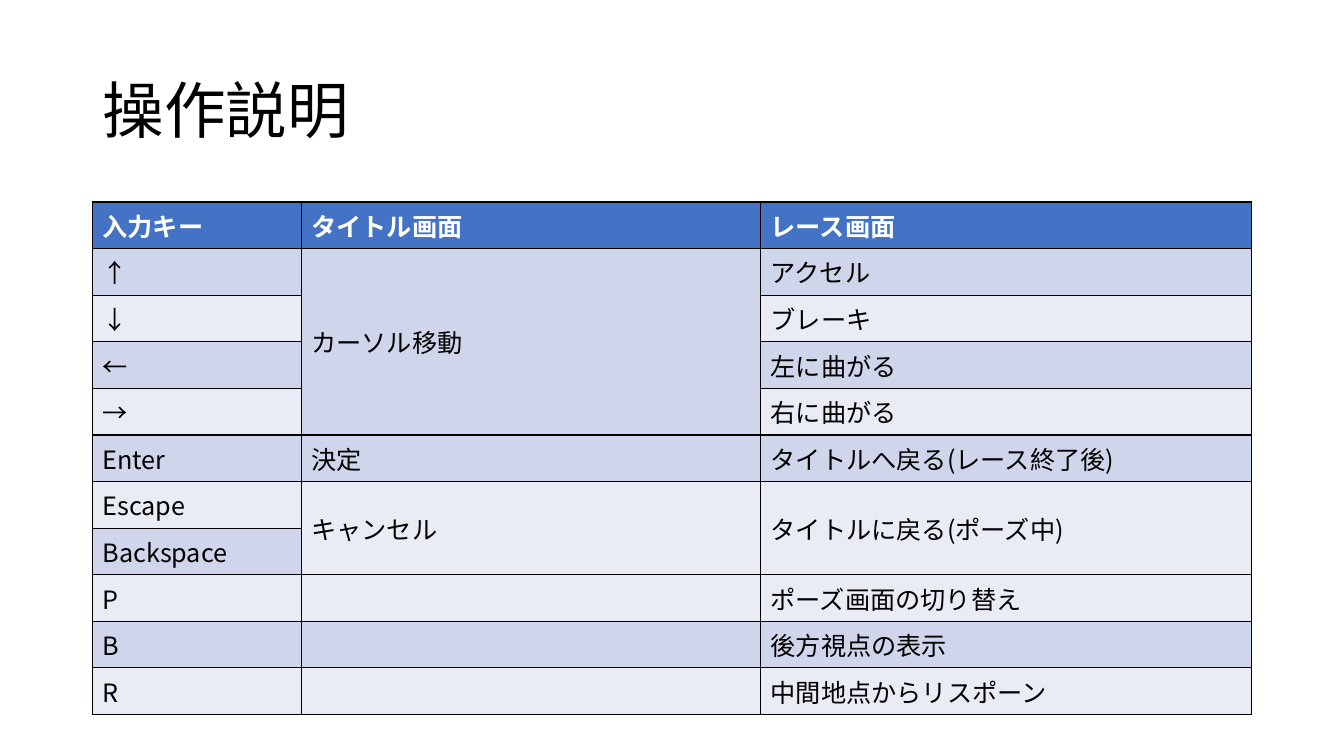
from lxml.etree import SubElement
from pptx import Presentation
from pptx.dml.color import RGBColor
from pptx.enum.text import MSO_ANCHOR, MSO_AUTO_SIZE, PP_ALIGN
from pptx.oxml import parse_xml
from pptx.oxml.ns import nsdecls, qn
from pptx.util import Cm, Pt

FONT = "Noto Sans CJK JP"
HUES = {"text": "000000", "head": "4472C4", "label": "FFFFFF",
        "odd": "CFD5EA", "even": "E9EBF5", "rule": "000000"}
WIDTHS = (5.26, 11.58, 12.37)
ROW = 1.03
# None continues the cell above it
KEYS = (
    ("入力キー", "タイトル画面", "レース画面"),
    ("↑", "カーソル移動", "アクセル"),
    ("↓", None, "ブレーキ"),
    ("←", None, "左に曲がる"),
    ("→", None, "右に曲がる"),
    ("Enter", "決定", "タイトルへ戻る(レース終了後)"),
    ("Escape", "キャンセル", "タイトルに戻る(ポーズ中)"),
    ("Backspace", None, None),
    ("P", "", "ポーズ画面の切り替え"),
    ("B", "", "後方視点の表示"),
    ("R", "", "中間地点からリスポーン"),
)


def color(name):
    return RGBColor.from_string(HUES[name])


def write(para, text, size, hue, bold=False):
    run = para.add_run()
    run.text = text
    font = run.font
    font.name, font.size, font.bold = FONT, Pt(size), bold
    font.color.rgb = color(hue)
    SubElement(font._element, qn("a:ea"), typeface=FONT)


def rule(cell):
    """Draw a thin line on all four sides of the cell."""
    props = cell._tc.get_or_add_tcPr()
    for spot, side in enumerate(("lnL", "lnR", "lnT", "lnB")):
        props.insert(spot, parse_xml(
            f'<a:{side} {nsdecls("a")} w="{Pt(1)}"><a:solidFill>'
            f'<a:srgbClr val="{HUES["rule"]}"/></a:solidFill></a:{side}>'))


def add_title(slide, left, top, width, height):
    title = slide.shapes.title
    title.left, title.top = Cm(left), Cm(top)
    title.width, title.height = Cm(width), Cm(height)
    frame = title.text_frame
    frame.auto_size = MSO_AUTO_SIZE.NONE
    frame.vertical_anchor = MSO_ANCHOR.MIDDLE
    para = frame.paragraphs[0]
    para.alignment = PP_ALIGN.LEFT
    para.line_spacing = 0.9
    write(para, "操作説明", 44, "text")


def add_keys(slide, left, top):
    grid = slide.shapes.add_table(
        len(KEYS), len(WIDTHS), Cm(left), Cm(top),
        Cm(sum(WIDTHS)), Cm(ROW * len(KEYS))).table
    for col, width in zip(grid.columns, WIDTHS):
        col.width = Cm(width)
    for r, texts in enumerate(KEYS):
        grid.rows[r].height = Cm(ROW)
        fill = "head" if r == 0 else "odd" if r % 2 else "even"
        for c, text in enumerate(texts):
            cell = grid.cell(r, c)
            cell.fill.solid()
            cell.fill.fore_color.rgb = color(fill)
            rule(cell)
            if text:
                hue = "text" if r else "label"
                write(cell.text_frame.paragraphs[0], text, 18, hue, r == 0)
    join(grid)


def join(grid):
    """Merge each cell with the None entries below it."""
    for c in range(len(WIDTHS)):
        for r in range(len(KEYS)):
            last = r
            while last + 1 < len(KEYS) and KEYS[last + 1][c] is None:
                last += 1
            if KEYS[r][c] is not None and last > r:
                cell = grid.cell(r, c)
                cell.merge(grid.cell(last, c))
                cell.vertical_anchor = MSO_ANCHOR.MIDDLE


def main():
    deck = Presentation()
    deck.slide_width, deck.slide_height = Cm(33.87), Cm(19.05)
    slide = deck.slides.add_slide(deck.slide_layouts[5])
    add_title(slide, 2.33, 1.01, 29.21, 3.68)
    add_keys(slide, 2.33, 5.09)
    deck.save("out.pptx")


if __name__ == "__main__":
    main()
